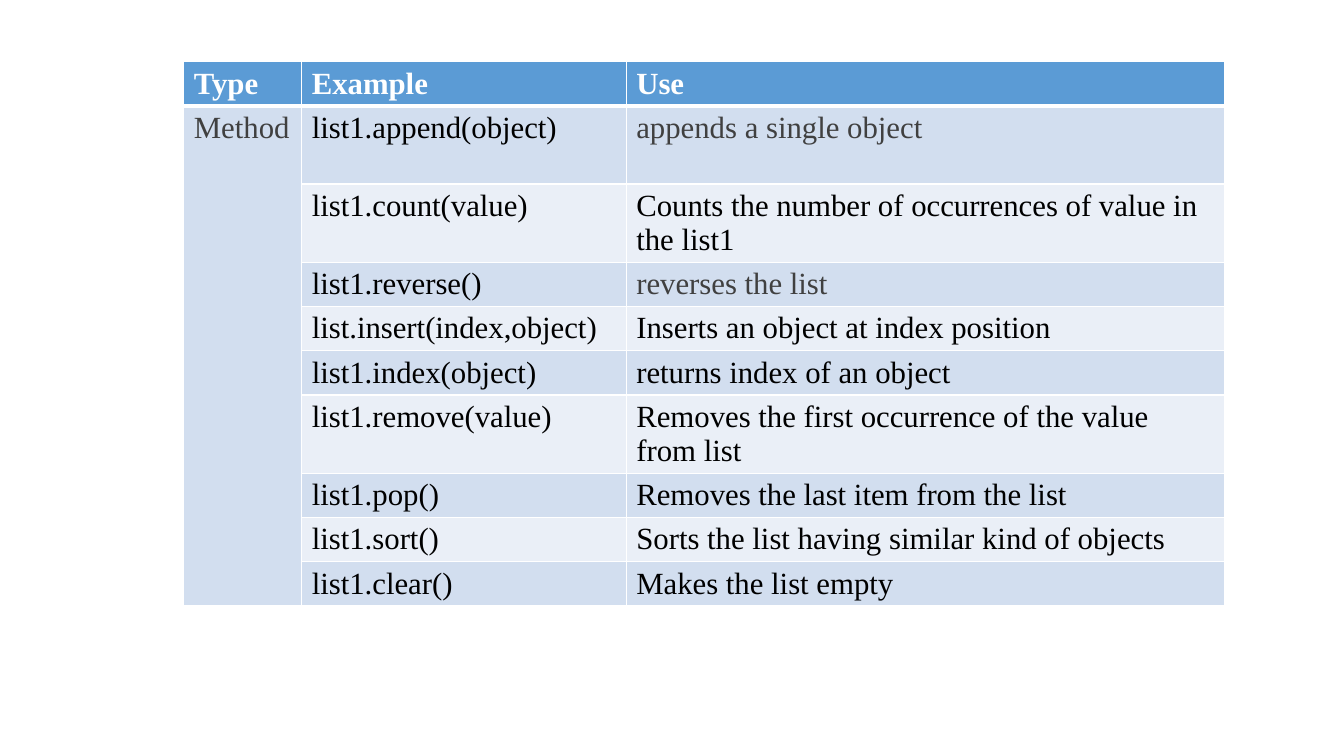
from dataclasses import dataclass

from lxml.etree import SubElement
from pptx import Presentation
from pptx.dml.color import RGBColor
from pptx.oxml.ns import qn
from pptx.table import _Cell as Cell
from pptx.util import Pt

COLORS = {
    "header": "5B9BD5",
    "odd": "D2DEEF",
    "even": "EAEFF7",
    "white": "FFFFFF",
    "black": "000000",
    "gray": "404040",
}
SINGLE, DOUBLE = 31.56, 55.92
COLUMN_WIDTHS = (84.24, 231.84, 427.68)
HEADERS = ("Type", "Example", "Use")


@dataclass
class Method:
    example: str
    use: str
    height: float = SINGLE
    use_color: str = "black"


METHODS = [
    Method("list1.append(object)", "appends a single object", DOUBLE, "gray"),
    Method("list1.count(value)", "Counts the number of occurrences of value in the list1", DOUBLE),
    Method("list1.reverse()", "reverses the list", use_color="gray"),
    Method("list.insert(index,object)", "Inserts an object at index position"),
    Method("list1.index(object)", "returns index of an object"),
    Method("list1.remove(value)", "Removes the first occurrence of the value from list", DOUBLE),
    Method("list1.pop()", "Removes the last item from the list"),
    Method("list1.sort()", "Sorts the list having similar kind of objects"),
    Method("list1.clear()", "Makes the list empty"),
]


def rgb(name: str) -> RGBColor:
    return RGBColor.from_string(COLORS[name])


def style_cell(cell: Cell, fill: str, top: float = 1, bottom: float = 1) -> None:
    properties = cell._tc.get_or_add_tcPr()
    for side, width in {"L": 1, "R": 1, "T": top, "B": bottom}.items():
        line = SubElement(properties, qn(f"a:ln{side}"), w=str(Pt(width)))
        solid = SubElement(line, qn("a:solidFill"))
        SubElement(solid, qn("a:srgbClr"), val=COLORS["white"])
    cell.fill.solid()
    cell.fill.fore_color.rgb = rgb(fill)


def write_cell(cell: Cell, text: str, color: str, bold: bool = False) -> None:
    run = cell.text_frame.paragraphs[0].add_run()
    run.text = text
    font_format = {"name": "Times New Roman", "size": Pt(22), "bold": bold}
    for attribute, value in font_format.items():
        setattr(run.font, attribute, value)
    run.font.color.rgb = rgb(color)


presentation = Presentation()
presentation.slide_width, presentation.slide_height = Pt(960), Pt(540)
slide = presentation.slides.add_slide(presentation.slide_layouts[6])

heights = [SINGLE] + [method.height for method in METHODS]
table = slide.shapes.add_table(
    len(heights), len(COLUMN_WIDTHS), Pt(131.3), Pt(44), Pt(sum(COLUMN_WIDTHS)), Pt(sum(heights))
).table
for column, width in zip(table.columns, COLUMN_WIDTHS):
    column.width = Pt(width)
for row, height in zip(table.rows, heights):
    row.height = Pt(height)

for index, header in enumerate(HEADERS):
    style_cell(table.cell(0, index), "header", bottom=3)
    write_cell(table.cell(0, index), header, "white", bold=True)

for index, method in enumerate(METHODS, start=1):
    type_cell, example_cell, use_cell = table.rows[index].cells
    band = "odd" if index % 2 else "even"
    top = 3 if index == 1 else 1
    for cell, fill in ((type_cell, "odd"), (example_cell, band), (use_cell, band)):
        style_cell(cell, fill, top=top)
    write_cell(example_cell, method.example, "black")
    write_cell(use_cell, method.use, method.use_color)

table.cell(1, 0).merge(table.cell(len(METHODS), 0))
write_cell(table.cell(1, 0), "Method", "gray")

presentation.save("out.pptx")
